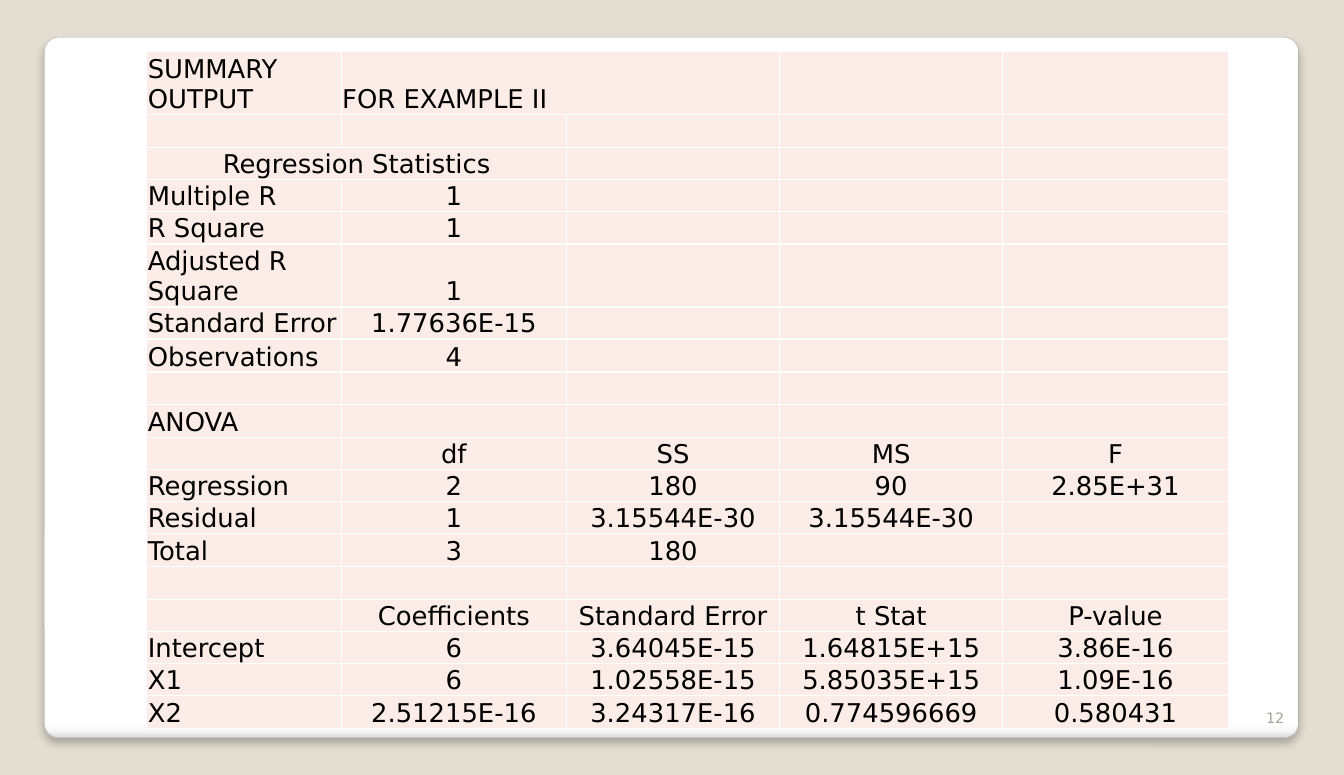
from lxml import etree
from pptx import Presentation
from pptx.dml.color import RGBColor
from pptx.enum import shapes, text
from pptx.oxml import ns
from pptx.util import Inches, Pt

COLORS = {
    "background": "E3DED1", "cell": "FCECE7", "border": "FFFFFF", "text": "000000",
    "number": "A8A49B", "outline": "A4A4A4", "shadow": "000000",
}
PANEL_STOPS = [(0, "FFFFFF"), (98, "FFFFFF"), (99, "F7F7F7"), (100, "DADADA")]
FONT = "DejaVu Sans"
COLUMN_WIDTHS = [1.88, 2.18, 2.06, 2.16, 2.18]
ROW_HEIGHT = 0.31
SPECIAL_HEIGHTS = {0: 0.59, 5: 0.59, 1: 0.32, 7: 0.32, 9: 0.32, 13: 0.32, 14: 0.32, 18: 0.32}
ROWS = [
    ["SUMMARY OUTPUT", "FOR EXAMPLE II"],
    [],
    ["Regression Statistics"],
    ["Multiple R", "1"],
    ["R Square", "1"],
    ["Adjusted R Square", "1"],
    ["Standard Error", "1.77636E-15"],
    ["Observations", "4"],
    [],
    ["ANOVA"],
    ["", "df", "SS", "MS", "F"],
    ["Regression", "2", "180", "90", "2.85E+31"],
    ["Residual", "1", "3.15544E-30", "3.15544E-30"],
    ["Total", "3", "180"],
    [],
    ["", "Coefficients", "Standard Error", "t Stat", "P-value"],
    ["Intercept", "6", "3.64045E-15", "1.64815E+15", "3.86E-16"],
    ["X1", "6", "1.02558E-15", "5.85035E+15", "1.09E-16"],
    ["X2", "2.51215E-16", "3.24317E-16", "0.774596669", "0.580431"],
]
MERGES = [(0, 1), (2, 0)]
ALIGNMENTS = {(0, 1): text.PP_ALIGN.LEFT, (2, 0): text.PP_ALIGN.CENTER}


def rgb(name):
    return RGBColor.from_string(COLORS[name])


def add_element(parent, tag, **attributes):
    element = etree.SubElement(parent, ns.qn(tag))
    for key, value in attributes.items():
        element.set(key, str(value))
    return element


def write(paragraph, content, size=18, color="text", align=text.PP_ALIGN.LEFT):
    paragraph.alignment = align
    if not content:
        add_element(paragraph._p, "a:endParaRPr", sz=size * 100)
        return
    run = paragraph.add_run()
    run.text = content
    run.font.name = FONT
    run.font.size = Pt(size)
    run.font.color.rgb = rgb(color)


def add_panel(slide):
    panel = slide.shapes.add_shape(
        shapes.MSO_SHAPE.ROUNDED_RECTANGLE,
        Inches(0.43), Inches(0.36), Inches(12.13), Inches(6.78))
    panel.adjustments[0] = 0.021
    panel.fill.gradient()
    panel.fill.gradient_angle = 270
    stops = panel._element.spPr.find(".//" + ns.qn("a:gsLst"))
    for stop in list(stops):
        stops.remove(stop)
    for position, color in PANEL_STOPS:
        stop = add_element(stops, "a:gs", pos=position * 1000)
        add_element(stop, "a:srgbClr", val=color)
    panel.line.color.rgb = rgb("outline")
    panel.line.width = Pt(0.16)
    panel.shadow.inherit = False
    effects = panel._element.spPr.find(ns.qn("a:effectLst"))
    shadow = add_element(effects, "a:outerShdw", blurRad=Pt(6), dist=Pt(4),
                         dir=90 * 60000, algn="tl", rotWithShape=0)
    color = add_element(shadow, "a:srgbClr", val=COLORS["shadow"])
    add_element(color, "a:alpha", val=25000)


def format_cell(cell):
    cell.margin_left = cell.margin_right = cell.margin_top = Inches(0.01)
    cell.margin_bottom = 0
    cell.vertical_anchor = text.MSO_ANCHOR.BOTTOM
    properties = cell._tc.get_or_add_tcPr()
    for side in ("a:lnL", "a:lnR", "a:lnT", "a:lnB"):
        line = add_element(properties, side, w=Pt(1))
        fill = add_element(line, "a:solidFill")
        add_element(fill, "a:srgbClr", val=COLORS["border"])
    cell.fill.solid()
    cell.fill.fore_color.rgb = rgb("cell")


def add_regression_table(slide):
    heights = [SPECIAL_HEIGHTS.get(index, ROW_HEIGHT) for index in range(len(ROWS))]
    table = slide.shapes.add_table(
        len(ROWS), len(COLUMN_WIDTHS), Inches(1.42), Inches(0.5),
        Inches(sum(COLUMN_WIDTHS)), Inches(sum(heights))).table
    table.first_row = table.horz_banding = False
    for column, width in zip(table.columns, COLUMN_WIDTHS):
        column.width = Inches(width)
    for row, height in zip(table.rows, heights):
        row.height = Inches(height)
    for i, values in enumerate(ROWS):
        for j in range(len(COLUMN_WIDTHS)):
            cell = table.cell(i, j)
            format_cell(cell)
            default = text.PP_ALIGN.CENTER if j else text.PP_ALIGN.LEFT
            write(cell.text_frame.paragraphs[0], values[j] if j < len(values) else "",
                  align=ALIGNMENTS.get((i, j), default))
    for i, j in MERGES:
        table.cell(i, j).merge(table.cell(i, j + 1))


def add_slide_number(slide):
    box = slide.shapes.add_textbox(Inches(11.87), Inches(6.68), Inches(0.65), Inches(0.4))
    frame = box.text_frame
    frame.word_wrap = True
    frame.vertical_anchor = text.MSO_ANCHOR.BOTTOM
    write(frame.paragraphs[0], "12", size=10, color="number", align=text.PP_ALIGN.RIGHT)


def main():
    """Build the regression summary slide."""
    presentation = Presentation()
    presentation.slide_width = Inches(13)
    presentation.slide_height = Inches(7.5)
    slide = presentation.slides.add_slide(presentation.slide_layouts[6])
    slide.background.fill.solid()
    slide.background.fill.fore_color.rgb = rgb("background")
    add_panel(slide)
    add_slide_number(slide)
    add_regression_table(slide)
    presentation.save("out.pptx")


if __name__ == "__main__":
    main()
